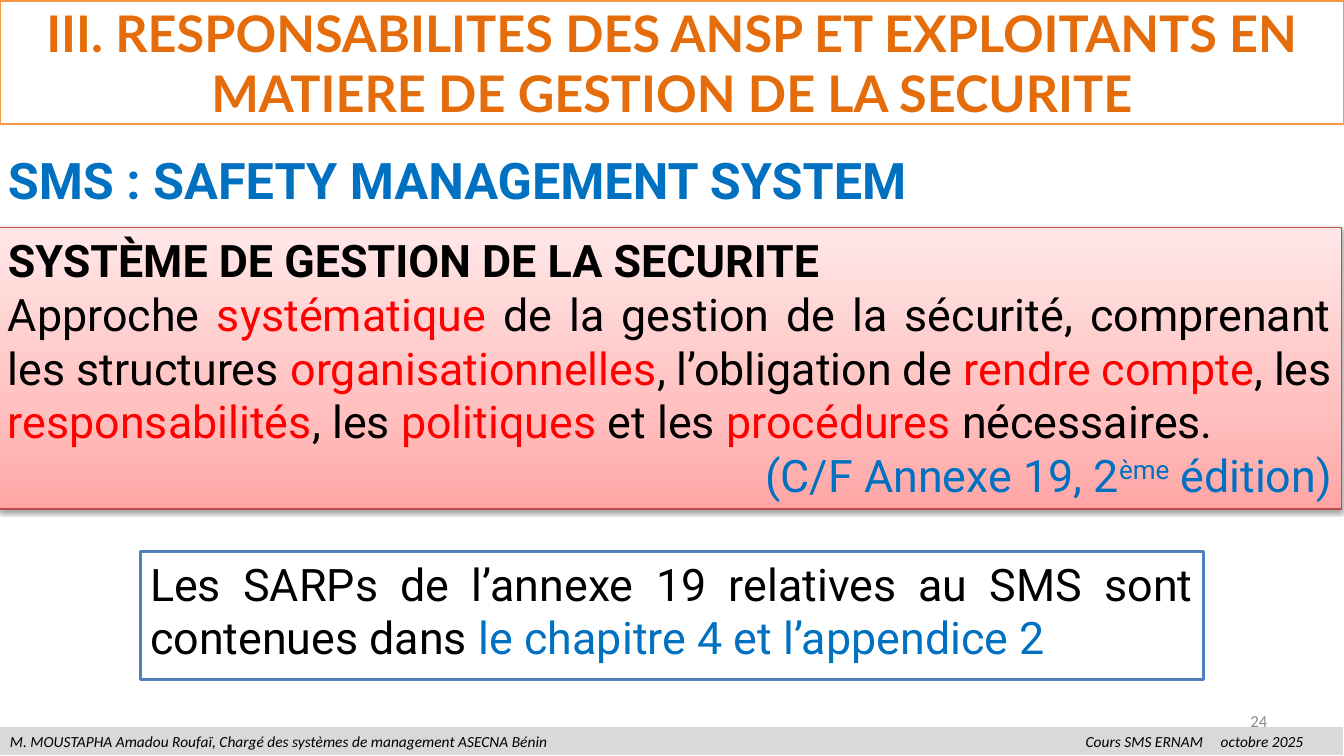
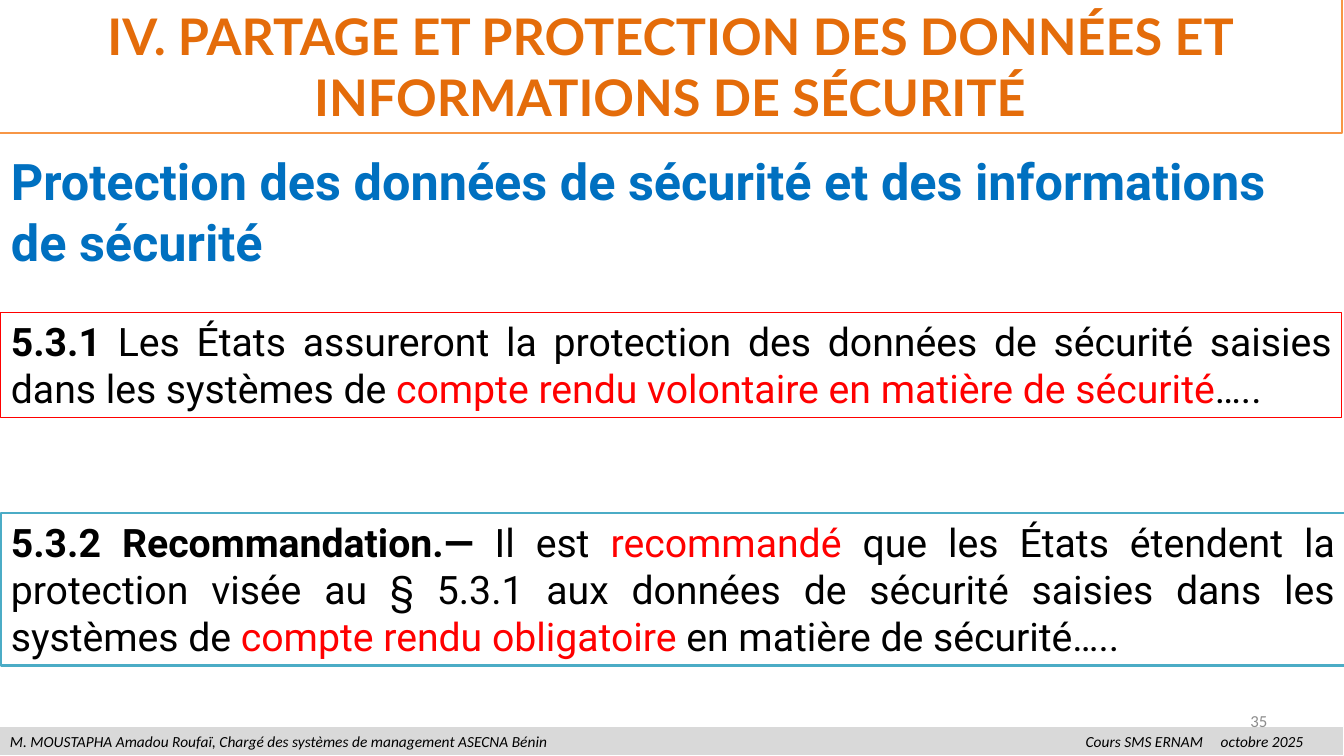
from lxml import etree
from pptx import Presentation
from pptx.dml.color import RGBColor
from pptx.enum.shapes import MSO_SHAPE
from pptx.enum.text import MSO_ANCHOR, MSO_AUTO_SIZE, PP_ALIGN
from pptx.oxml.ns import qn
from pptx.util import Inches, Pt

BLACK, WHITE, RED, BLUE = "000000", "FFFFFF", "FF0000", "0070C0"
ORANGE, TITLE_ORANGE = "F79646", "E46C0A"
BAND_GREY, NUMBER_GREY = "D9D9D9", "8C8C8C"
TITLE_FONT, BODY_FONT, FOOTER_FONT = "Lato", "Roboto", "Calibri"
SLIDE_WIDTH, SLIDE_HEIGHT = 13.33, 7.5
TITLE_ONLY_LAYOUT = 5
FOOTER = ("M. MOUSTAPHA Amadou Roufaï, Chargé des systèmes de management ASECNA Bénin"
          "\tCours SMS ERNAM\toctobre 2025")
FOOTER_TABS = [(10.67, "l"), (12.83, "r")]


def rgb(value):
    return RGBColor.from_string(value)


def red(text):
    return text, {"color": RED}


def bold(text):
    return text, {"bold": True}


def write(paragraph, *runs, font=BODY_FONT, size=32, color=BLACK, bold=False,
          italic=False, align=PP_ALIGN.LEFT):
    """Add runs, each a string or a (string, overrides) pair, to a paragraph."""
    paragraph.alignment = align
    for item in runs:
        text, changes = (item, {}) if isinstance(item, str) else item
        run = paragraph.add_run()
        run.text = text
        run.font.name = font
        run.font.size = Pt(size)
        run.font.italic = italic
        run.font.bold = changes.get("bold", bold)
        run.font.color.rgb = rgb(changes.get("color", color))
        if "baseline" in changes:
            run.font._element.set("baseline", str(changes["baseline"] * 1000))


def prepare_frame(shape, anchor=MSO_ANCHOR.TOP):
    """Set wrapping and anchor, and return the first paragraph."""
    frame = shape.text_frame
    frame.word_wrap = True
    frame.auto_size = MSO_AUTO_SIZE.NONE
    frame.vertical_anchor = anchor
    return frame.paragraphs[0]


def style_box(shape, fill, line, width):
    if fill:
        shape.fill.solid()
        shape.fill.fore_color.rgb = rgb(fill)
    else:
        shape.fill.background()
    shape.line.color.rgb = rgb(line)
    shape.line.width = Pt(width)


def add_box(slide, left, top, width, height, line, line_width=2, fill=WHITE):
    box = slide.shapes.add_shape(MSO_SHAPE.RECTANGLE, Inches(left), Inches(top),
                                 Inches(width), Inches(height))
    box.shadow.inherit = False
    style_box(box, fill, line, line_width)
    return box


def add_label(slide, left, top, width, height, text, anchor=MSO_ANCHOR.TOP, **style):
    label = slide.shapes.add_textbox(Inches(left), Inches(top),
                                     Inches(width), Inches(height))
    write(prepare_frame(label, anchor), text, **style)


def set_gradient(shape, stops, angle):
    shape.fill.gradient()
    shape.fill.gradient_angle = angle
    stop_list = shape.element.spPr.find(".//" + qn("a:gsLst"))
    for stop in list(stop_list):
        stop_list.remove(stop)
    for position, color in stops:
        stop = etree.SubElement(stop_list, qn("a:gs"), pos=str(position * 1000))
        etree.SubElement(stop, qn("a:srgbClr"), val=color)


def add_drop_shadow(shape, opacity, blur, distance):
    effects = shape.element.spPr.find(qn("a:effectLst"))
    shadow = etree.SubElement(effects, qn("a:outerShdw"), blurRad=str(Pt(blur)),
                              dist=str(Pt(distance)), dir="5400000", rotWithShape="0")
    color = etree.SubElement(shadow, qn("a:srgbClr"), val=BLACK)
    etree.SubElement(color, qn("a:alpha"), val=str(opacity * 1000))


def add_footer(slide, number):
    height = 0.29
    band = add_box(slide, 0, SLIDE_HEIGHT - height, SLIDE_WIDTH, height,
                   WHITE, 0.75, BAND_GREY)
    paragraph = prepare_frame(band, MSO_ANCHOR.MIDDLE)
    tabs = etree.SubElement(paragraph._p.get_or_add_pPr(), qn("a:tabLst"))
    for position, align in FOOTER_TABS:
        etree.SubElement(tabs, qn("a:tab"), pos=str(Inches(position)), algn=align)
    write(paragraph, FOOTER, font=FOOTER_FONT, size=11, italic=True)
    add_label(slide, 9.56, 6.95, 3.11, 0.4, str(number), MSO_ANCHOR.MIDDLE,
              font=FOOTER_FONT, size=12, color=NUMBER_GREY, align=PP_ALIGN.RIGHT)


def add_course_slide(presentation, title_text, number, title_area):
    """Add a slide with the framed title and the footer band."""
    slide = presentation.slides.add_slide(presentation.slide_layouts[TITLE_ONLY_LAYOUT])
    title = slide.shapes.title
    title.left, title.top, title.width, title.height = map(Inches, title_area)
    style_box(title, WHITE, ORANGE, 2)
    write(prepare_frame(title, MSO_ANCHOR.MIDDLE), title_text, font=TITLE_FONT,
          size=36, color=TITLE_ORANGE, bold=True, align=PP_ALIGN.CENTER)
    add_footer(slide, number)
    return slide


def add_heading(slide, left, top, width, height, text):
    add_label(slide, left, top, width, height, text, size=36, color=BLUE, bold=True)


def build_sms_slide(presentation):
    slide = add_course_slide(
        presentation,
        "III. RESPONSABILITES DES ANSP ET EXPLOITANTS EN MATIERE DE GESTION DE LA SECURITE",
        24, (0, 0.01, SLIDE_WIDTH, 1.22))

    definition = add_box(slide, -0.02, 2.26, SLIDE_WIDTH, 2.79, "BF4C48", 0.75)
    set_gradient(definition, [(0, "FFA6A5"), (35, "FFC0BF"), (100, "FFE7E7")], 90)
    add_drop_shadow(definition, opacity=38, blur=3.1, distance=1.6)
    write(prepare_frame(definition), "SYSTÈME DE GESTION DE LA SECURITE", bold=True)
    frame = definition.text_frame
    write(frame.add_paragraph(),
          "Approche ", red("systématique "),
          "de la gestion de la sécurité, comprenant les structures ",
          red("organisationnelles"), ", l’obligation de ", red("rendre compte"),
          ", les ", red("responsabilités"), ", les ", red("politiques"),
          " et les ", red("procédures"), " nécessaires.", align=PP_ALIGN.JUSTIFY)
    write(frame.add_paragraph(), "(C/F Annexe 19, 2", ("ème", {"baseline": 30}),
          " édition)", color=BLUE, align=PP_ALIGN.RIGHT)

    add_heading(slide, -0.02, 1.43, 12.69, 0.71, "SMS : SAFETY MANAGEMENT SYSTEM")
    reference = add_box(slide, 1.39, 5.47, 10.55, 1.27, "4F81BD")
    write(prepare_frame(reference),
          "Les SARPs de l’annexe 19 relatives au SMS sont contenues dans ",
          ("le chapitre 4 et l’appendice 2", {"color": BLUE}), align=PP_ALIGN.JUSTIFY)


def build_protection_slide(presentation):
    slide = add_course_slide(
        presentation, "IV. PARTAGE ET PROTECTION DES DONNÉES ET INFORMATIONS DE SÉCURITÉ",
        35, (-0.02, -0.01, SLIDE_WIDTH, 1.33))
    add_heading(slide, 0.01, 1.44, 13.17, 1.31,
                "Protection des données de sécurité et des informations de sécurité")

    standard = add_box(slide, 0.01, 3.1, 13.3, 1.04, RED, 0.75, fill=None)
    write(prepare_frame(standard), bold("5.3.1"),
          " Les États assureront la protection des données de sécurité saisies "
          "dans les systèmes de ",
          red("compte rendu volontaire en matière de sécurité"), "…..",
          size=28, align=PP_ALIGN.JUSTIFY)

    recommendation = add_box(slide, 0.01, 5.09, SLIDE_WIDTH, 1.51, "4BACC6")
    write(prepare_frame(recommendation), bold("5.3.2 Recommandation.— "), "Il est ",
          red("recommandé"),
          " que les États étendent la protection visée au § 5.3.1 aux données de "
          "sécurité saisies dans les systèmes de ",
          red("compte rendu obligatoire "), "en matière de sécurité…..",
          size=28, align=PP_ALIGN.JUSTIFY)


def main():
    presentation = Presentation()
    presentation.slide_width = Inches(SLIDE_WIDTH)
    presentation.slide_height = Inches(SLIDE_HEIGHT)
    build_sms_slide(presentation)
    build_protection_slide(presentation)
    presentation.save("out.pptx")


if __name__ == "__main__":
    main()
